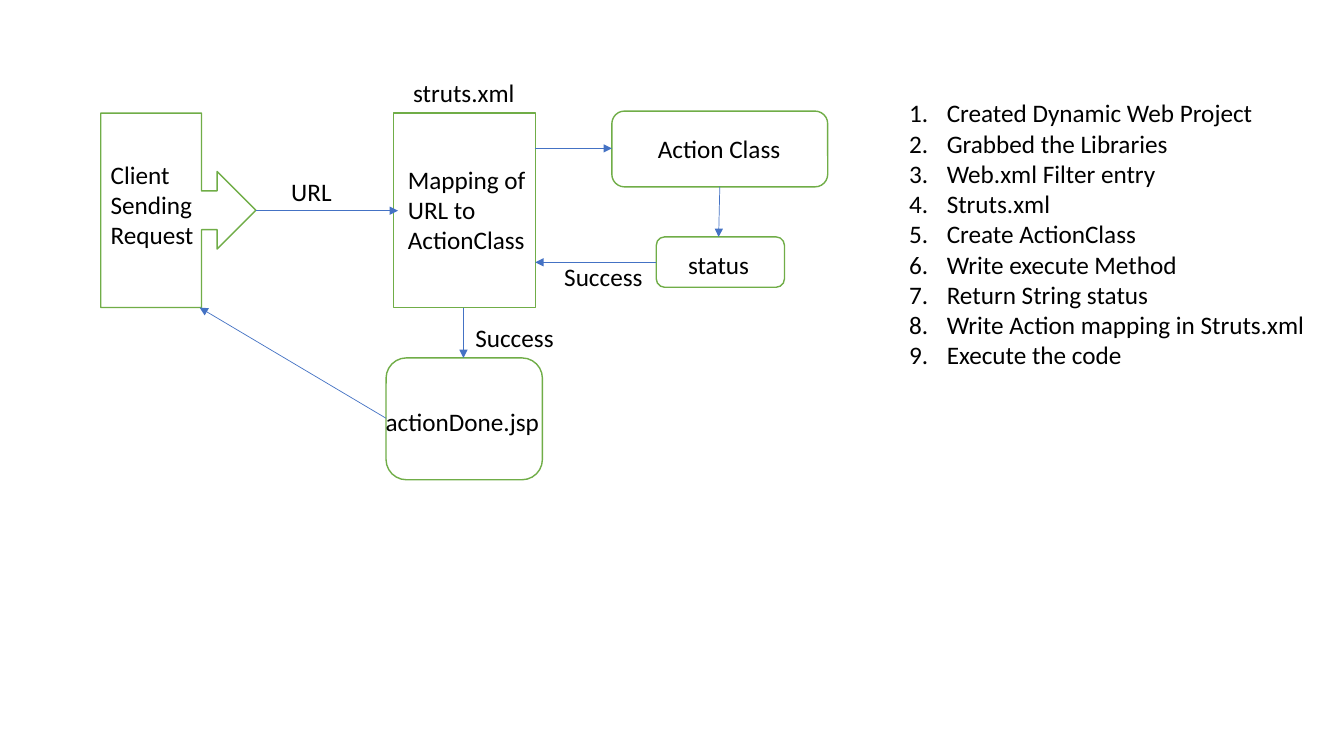
from dataclasses import dataclass

from lxml import etree
from pptx import Presentation
from pptx import util as u
from pptx.dml import color
from pptx.enum import shapes, text
from pptx.oxml import ns


@dataclass(frozen=True)
class Theme:
    font: str = "Calibri"
    size: int = 18
    ink: color.RGBColor = color.RGBColor(0x00, 0x00, 0x00)
    fill: color.RGBColor = color.RGBColor(0xFF, 0xFF, 0xFF)
    outline: color.RGBColor = color.RGBColor(0x70, 0xAD, 0x47)
    arrow: color.RGBColor = color.RGBColor(0x44, 0x72, 0xC4)
    outline_width: float = 1
    arrow_width: float = 0.5
    list_indent: float = 0.95


THEME = Theme()
SHAPE = shapes.MSO_SHAPE


def add_node(slide, kind, left, top, width, height):
    shape = slide.shapes.add_shape(kind, u.Cm(left), u.Cm(top), u.Cm(width), u.Cm(height))
    shape.shadow.inherit = False
    shape.fill.solid()
    shape.fill.fore_color.rgb = THEME.fill
    shape.line.color.rgb = THEME.outline
    shape.line.width = u.Pt(THEME.outline_width)


def add_text(slide, lines, left, top, width, height=1.02, wrap=False):
    box = slide.shapes.add_textbox(u.Cm(left), u.Cm(top), u.Cm(width), u.Cm(height))
    frame = box.text_frame
    frame.word_wrap = wrap
    frame.auto_size = text.MSO_AUTO_SIZE.SHAPE_TO_FIT_TEXT
    for index, line in enumerate(lines):
        paragraph = frame.add_paragraph() if index else frame.paragraphs[0]
        run = paragraph.add_run()
        run.text = line
        run.font.name = THEME.font
        run.font.size = u.Pt(THEME.size)
        run.font.color.rgb = THEME.ink
    return frame


def add_arrow(slide, start_x, start_y, end_x, end_y):
    connector = slide.shapes.add_connector(
        shapes.MSO_CONNECTOR.STRAIGHT,
        u.Cm(start_x), u.Cm(start_y), u.Cm(end_x), u.Cm(end_y),
    )
    connector.line.color.rgb = THEME.arrow
    connector.line.width = u.Pt(THEME.arrow_width)
    properties = connector.element.spPr
    line = properties.find(ns.qn("a:ln"))
    etree.SubElement(line, ns.qn("a:tailEnd"), type="triangle")
    etree.SubElement(properties, ns.qn("a:effectLst"))


def add_request_flow(slide, left, top):
    nodes = [
        (SHAPE.ROUNDED_RECTANGLE, 12.88, 0.97, 5.44, 1.91),
        (SHAPE.RIGHT_ARROW_CALLOUT, 0, 1.02, 3.91, 4.9),
        (SHAPE.RECTANGLE, 7.37, 1.02, 3.58, 4.9),
        (SHAPE.ROUNDED_RECTANGLE, 14, 4.14, 3.23, 1.27),
        (SHAPE.ROUNDED_RECTANGLE, 7.19, 7.19, 3.94, 3.07),
    ]
    arrows = [
        (10.95, 1.91, 12.88, 1.91),
        (15.6, 2.87, 15.57, 4.14),
        (14, 4.78, 10.95, 4.78),
        (9.14, 5.92, 9.14, 7.19),
        (7.19, 8.71, 2.49, 5.92),
        (3.91, 3.48, 7.49, 3.48),
    ]
    labels = [
        ("Action Class", 13.79, 1.4, 3.63),
        ("struts.xml", 7.62, 0, 3.1),
        ("status", 14.55, 4.32, 2.06),
        ("Success", 11.43, 4.62, 2.51),
        ("Success", 9.19, 6.17, 2.51),
        ("actionDone.jsp", 6.93, 8.28, 4.42),
        ("URL", 4.55, 2.49, 1.55),
    ]
    captions = [
        (["Client", "Sending Request"], 0, 2.06, 2.77),
        (["Mapping of", "URL to ActionClass"], 7.49, 2.18, 4.09),
    ]
    for kind, x, y, width, height in nodes:
        add_node(slide, kind, left + x, top + y, width, height)
    for start_x, start_y, end_x, end_y in arrows:
        add_arrow(slide, left + start_x, top + start_y, left + end_x, top + end_y)
    for label, x, y, width in labels:
        add_text(slide, [label], left + x, top + y, width)
    for lines, x, y, width in captions:
        add_text(slide, lines, left + x, top + y, width, 2.57, wrap=True)


def add_steps(slide, left, top, width, height):
    steps = [
        "Created Dynamic Web Project",
        "Grabbed the Libraries",
        "Web.xml Filter entry",
        "Struts.xml",
        "Create ActionClass",
        "Write execute Method",
        "Return String status",
        "Write Action mapping in Struts.xml",
        "Execute the code",
    ]
    indent = u.Cm(THEME.list_indent)
    for paragraph in add_text(slide, steps, left, top, width, height).paragraphs:
        properties = paragraph._p.get_or_add_pPr()
        properties.set("marL", str(indent))
        properties.set("indent", str(-indent))
        etree.SubElement(properties, ns.qn("a:buFont"), typeface="+mj-lt")
        etree.SubElement(properties, ns.qn("a:buAutoNum"), type="arabicPeriod")


presentation = Presentation()
presentation.slide_width = u.Cm(33.87)
presentation.slide_height = u.Cm(19.05)
slide = presentation.slides.add_slide(presentation.slide_layouts.get_by_name("Blank"))
add_request_flow(slide, 2.54, 1.83)
add_steps(slide, 22.66, 2.34, 10.59, 7.95)
presentation.save("out.pptx")
